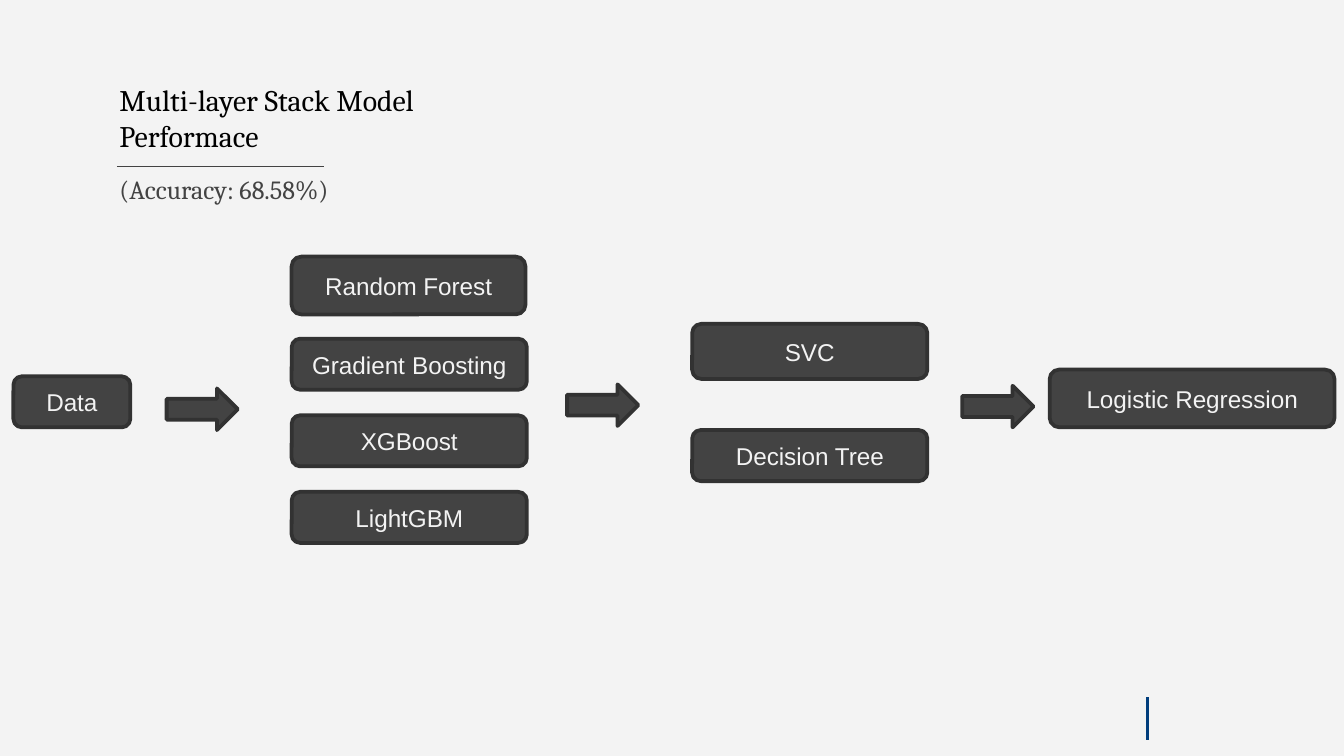
from typing import NamedTuple

import pptx
import pptx.dml.color
import pptx.enum.shapes
import pptx.enum.text
import pptx.oxml.ns
import pptx.util
from lxml import etree
from pptx.util import Inches

DARK = "434343"
OUTLINE = "323232"
LIGHT = "F3F3F3"
BOX_HEIGHT = 0.38


class Run(NamedTuple):
    text: str
    size: float = 13


class ModelBox(NamedTuple):
    left: float
    top: float
    width: float
    height: float
    runs: tuple[Run, ...]


class Rule(NamedTuple):
    start: tuple[float, float]
    end: tuple[float, float]
    color: str
    weight: float


class Caption(NamedTuple):
    left: float
    top: float
    width: float
    height: float
    lines: tuple[str, ...]
    size: float
    color: str
    anchor: pptx.enum.text.MSO_ANCHOR


MODEL_BOXES = [
    ModelBox(0.1, 2.8, 0.87, BOX_HEIGHT, (Run("Data"),)),
    *(
        ModelBox(2.17, 2.52 + 0.57 * row, 1.75, BOX_HEIGHT, runs)
        for row, runs in enumerate([
            (Run("Gradient"), Run(" ", 14), Run("Boosting")),
            (Run("XGBoost"),),
            (Run("LightGBM"),),
        ])
    ),
    ModelBox(2.17, 1.91, 1.74, 0.43, (Run("Random Forest"),)),
    ModelBox(7.81, 2.75, 2.12, 0.43, (Run("Logistic Regression"),)),
    ModelBox(5.15, 2.41, 1.75, 0.41, (Run("SVC"),)),
    ModelBox(5.15, 3.2, 1.75, BOX_HEIGHT, (Run("Decision Tree"),)),
]
ARROW_POSITIONS = [(1.24, 2.89), (4.22, 2.86), (7.16, 2.87)]
CAPTIONS = [
    Caption(0.79, 0.51, 3.05, 1.03, ("Multi-layer Stack Model", "Performace"),
            16, "000000", pptx.enum.text.MSO_ANCHOR.TOP),
    Caption(0.79, 1.05, 2.52, 0.71, ("(Accuracy: 68.58%)",),
            14, DARK, pptx.enum.text.MSO_ANCHOR.MIDDLE),
]
RULES = [
    Rule((8.54, 5.19), (8.54, 5.51), "003D7C", 1.5),
    Rule((0.87, 1.24), (2.41, 1.24), "424242", 0.75),
]


def rgb(color: str) -> pptx.dml.color.RGBColor:
    return pptx.dml.color.RGBColor.from_string(color)


def add_run(paragraph, run: Run, font_name: str, color: str) -> None:
    text_run = paragraph.add_run()
    text_run.text = run.text
    text_run.font.name = font_name
    text_run.font.size = pptx.util.Pt(run.size)
    text_run.font.color.rgb = rgb(color)


def add_dark_shape(slide, kind, left: float, top: float, width: float, height: float):
    """Add a dark shape whose outline has rounded corners."""
    shape = slide.shapes.add_shape(
        kind, Inches(left), Inches(top), Inches(width), Inches(height))
    shape.shadow.inherit = False
    shape.fill.solid()
    shape.fill.fore_color.rgb = rgb(DARK)
    shape.line.color.rgb = rgb(OUTLINE)
    shape.line.width = pptx.util.Pt(2)
    outline = shape._element.spPr.find(pptx.oxml.ns.qn("a:ln"))
    etree.SubElement(outline, pptx.oxml.ns.qn("a:round"))
    return shape


def add_model_box(slide, box: ModelBox) -> None:
    shape = add_dark_shape(
        slide, pptx.enum.shapes.MSO_SHAPE.ROUNDED_RECTANGLE,
        box.left, box.top, box.width, box.height)
    shape.text_frame.vertical_anchor = pptx.enum.text.MSO_ANCHOR.MIDDLE
    paragraph = shape.text_frame.paragraphs[0]
    paragraph.alignment = pptx.enum.text.PP_ALIGN.CENTER
    for run in box.runs:
        add_run(paragraph, run, "Arial", LIGHT)


def add_caption(slide, caption: Caption) -> None:
    text_box = slide.shapes.add_textbox(
        Inches(caption.left), Inches(caption.top),
        Inches(caption.width), Inches(caption.height))
    frame = text_box.text_frame
    frame.word_wrap = True
    frame.vertical_anchor = caption.anchor
    frame.margin_left = frame.margin_right = Inches(0.1)
    frame.margin_top = frame.margin_bottom = Inches(0.1)
    paragraph = frame.paragraphs[0]
    for index, line in enumerate(caption.lines):
        if index:
            paragraph.add_line_break()
        add_run(paragraph, Run(line, caption.size), "Cambria", caption.color)


def add_rule(slide, rule: Rule) -> None:
    connector = slide.shapes.add_connector(
        pptx.enum.shapes.MSO_CONNECTOR.STRAIGHT,
        *map(Inches, rule.start), *map(Inches, rule.end))
    connector.line.color.rgb = rgb(rule.color)
    connector.line.width = pptx.util.Pt(rule.weight)
    etree.SubElement(connector._element.spPr, pptx.oxml.ns.qn("a:effectLst"))


def main() -> None:
    presentation = pptx.Presentation()
    presentation.slide_width = Inches(10)
    presentation.slide_height = Inches(10 * 9 / 16)
    slide = presentation.slides.add_slide(presentation.slide_layouts[6])
    slide.background.fill.solid()
    slide.background.fill.fore_color.rgb = rgb(LIGHT)

    for box in MODEL_BOXES:
        add_model_box(slide, box)
    for left, top in ARROW_POSITIONS:
        add_dark_shape(
            slide, pptx.enum.shapes.MSO_SHAPE.RIGHT_ARROW, left, top, 0.53, 0.31)
    for rule in RULES:
        add_rule(slide, rule)
    for caption in CAPTIONS:
        add_caption(slide, caption)
    presentation.save("out.pptx")


if __name__ == "__main__":
    main()
